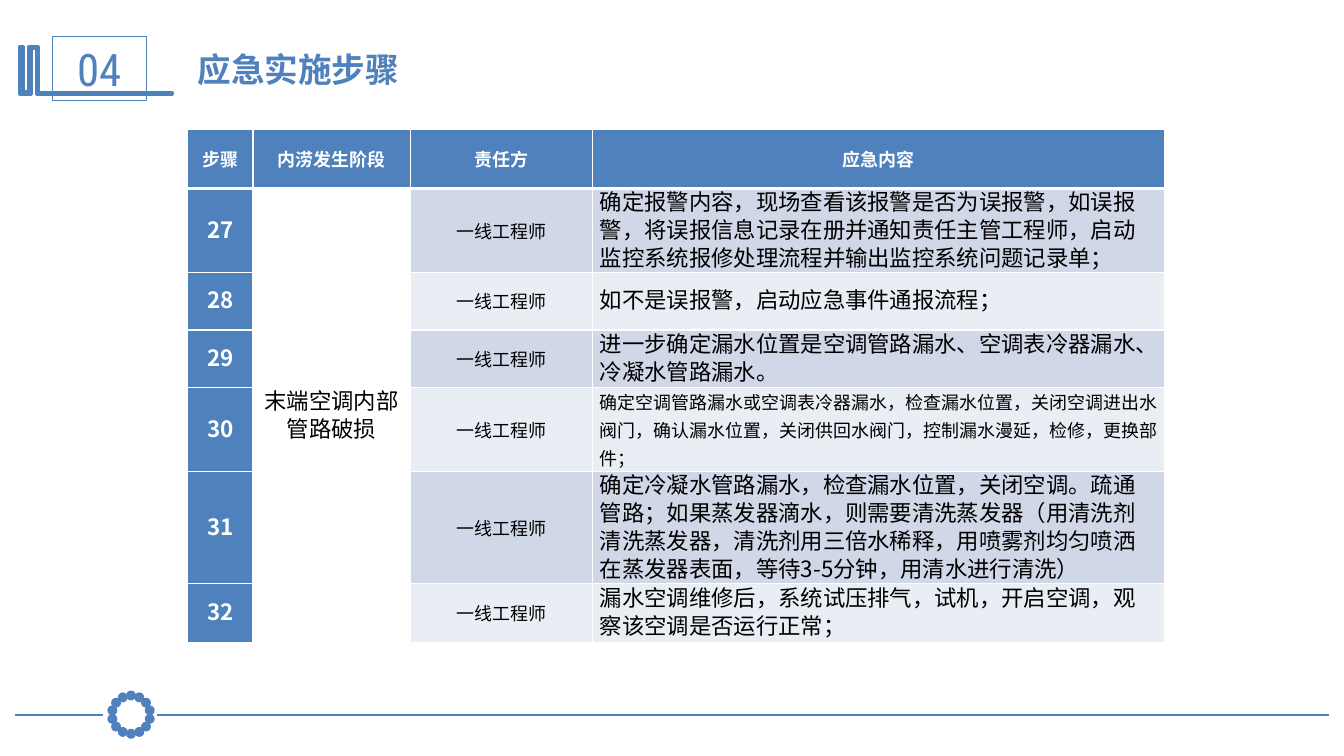
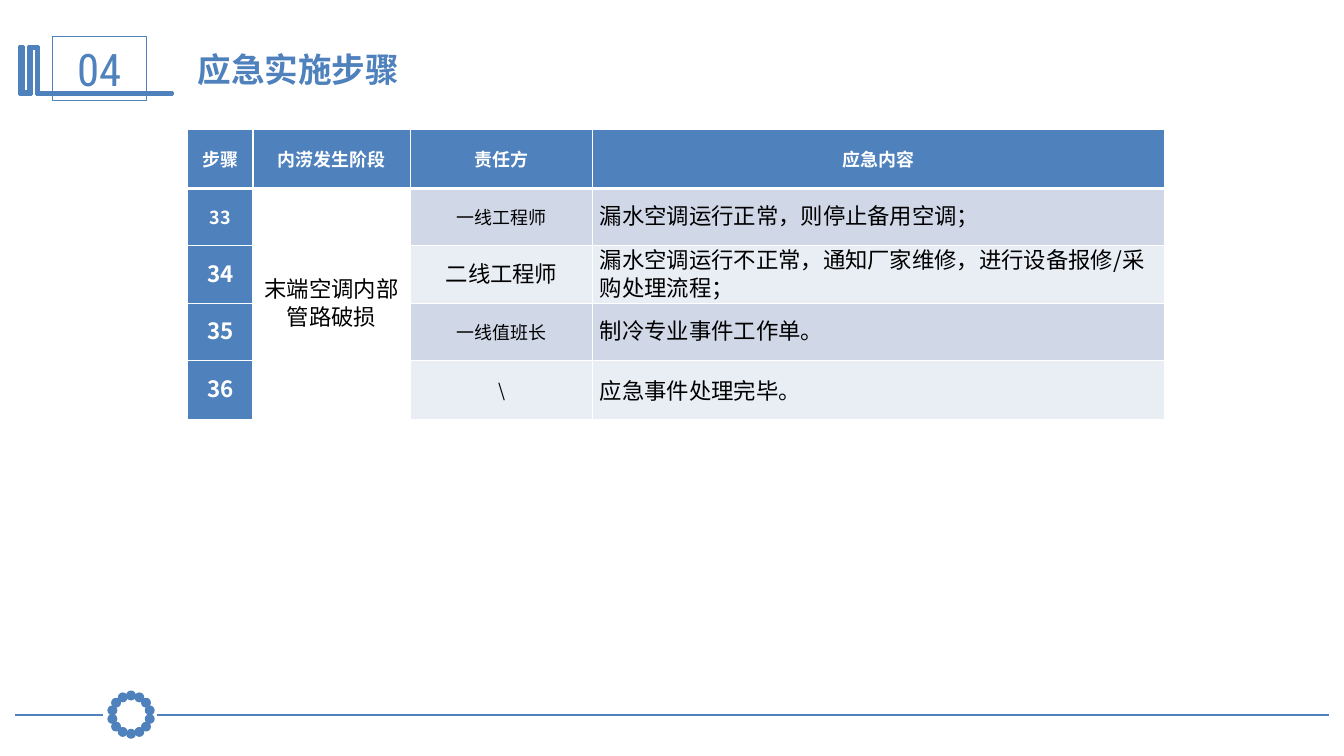
from dataclasses import dataclass
from math import cos, pi, sin

from lxml.etree import SubElement
from pptx import Presentation
from pptx.dml.color import RGBColor
from pptx.enum.shapes import MSO_CONNECTOR, MSO_SHAPE
from pptx.enum.text import MSO_ANCHOR, MSO_AUTO_SIZE, PP_ALIGN
from pptx.oxml import parse_xml
from pptx.oxml.ns import nsdecls, qn
from pptx.util import Inches, Pt


@dataclass(frozen=True)
class Theme:
    blue: str = "4F81BD"
    white: str = "FFFFFF"
    black: str = "000000"
    bands: tuple = ("D0D8E8", "E9EDF4")
    title_font: str = "Roboto"
    number_font: str = "Roboto Condensed"
    table_font: str = "Noto Sans CJK SC"
    title_size: int = 24
    number_size: int = 32
    table_size: int = 16
    line_spacing: int = 20


@dataclass(frozen=True)
class Step:
    number: str
    owner: str
    action: str
    small: tuple = ("owner",)
    spacing: bool = True


THEME = Theme()
HEADINGS = ("步骤", "内涝发生阶段", "责任方", "应急内容")
STAGE = "末端空调内部管路破损"
COLUMN_WIDTHS = (0.65, 1.56, 1.81, 5.67)
ROW_HEIGHTS = (0.59, 0.57, 0.57, 0.57, 0.58, 0.5, 0.59)
BRACKET = (
    (0.37, 0.46), (0.38, 0.46), (0.38, 0.92), (1.71, 0.92), (1.71, 0.94),
    (0.36, 0.94), (0.36, 0.48), (0.31, 0.48), (0.31, 0.94), (0.19, 0.94),
    (0.19, 0.46), (0.23, 0.46), (0.23, 0.91), (0.28, 0.91), (0.28, 0.46),
)
STEP_PAGES = (
    (
        Step("27", "一线工程师", "确定报警内容，现场查看该报警是否为误报警，如误报警，将误报信息记录在册并通知责任主管工程师，启动监控系统报修处理流程并输出监控系统问题记录单；"),
        Step("28", "一线工程师", "如不是误报警，启动应急事件通报流程；"),
        Step("29", "一线工程师", "进一步确定漏水位置是空调管路漏水、空调表冷器漏水、冷凝水管路漏水。"),
        Step("30", "一线工程师", "确定空调管路漏水或空调表冷器漏水，检查漏水位置，关闭空调进出水阀门，确认漏水位置，关闭供回水阀门，控制漏水漫延，检修，更换部件；", ("owner", "action")),
        Step("31", "一线工程师", "确定冷凝水管路漏水，检查漏水位置，关闭空调。疏通管路；如果蒸发器滴水，则需要清洗蒸发器（用清洗剂清洗蒸发器，清洗剂用三倍水稀释，用喷雾剂均匀喷洒在蒸发器表面，等待3-5分钟，用清水进行清洗）"),
        Step("32", "一线工程师", "漏水空调维修后，系统试压排气，试机，开启空调，观察该空调是否运行正常；"),
    ),
    (
        Step("33", "一线工程师", "漏水空调运行正常，则停止备用空调；", ("number", "owner")),
        Step("34", "二线工程师", "漏水空调运行不正常，通知厂家维修，进行设备报修/采购处理流程；", ()),
        Step("35", "一线值班长", "制冷专业事件工作单。"),
        Step("36", "\\", "应急事件处理完毕。", spacing=False),
    ),
)


def apply(target, formats):
    for name, value in formats.items():
        setattr(target, name, value)


def write(paragraph, text, font, size, color, bold=False, small=False):
    run = paragraph.add_run()
    run.text = text
    run.font.color.rgb = RGBColor.from_string(color)
    apply(run.font, {"name": font, "size": Pt(size), "bold": bold})
    properties = run.font._element
    SubElement(properties, qn("a:ea")).set("typeface", font)
    if small:
        properties.set("cap", "small")


def style_outline(shape, width, filled=True):
    shape.shadow.inherit = False
    if filled:
        shape.fill.solid()
        shape.fill.fore_color.rgb = RGBColor.from_string(THEME.blue)
    else:
        shape.fill.background()
    shape.line.color.rgb = RGBColor.from_string(THEME.blue)
    shape.line.width = Pt(width)


def add_footer_line(slide, left, right, top=7.09):
    rule = slide.shapes.add_connector(
        MSO_CONNECTOR.STRAIGHT, Inches(left), Inches(top), Inches(right), Inches(top))
    rule.line.color.rgb = RGBColor.from_string(THEME.blue)
    rule.line.width = Pt(1.25)
    SubElement(rule._element.spPr, qn("a:effectLst"))


def add_dot_ring(slide, center_x=1.3, center_y=7.09, radius=0.19, dot=0.07, count=14):
    ring = slide.shapes.add_group_shape()
    for index in range(count):
        angle = 2 * pi * index / count
        left = center_x + radius * sin(angle) - dot / 2
        top = center_y - radius * cos(angle) - dot / 2
        bead = ring.shapes.add_shape(
            MSO_SHAPE.OVAL, Inches(left), Inches(top), Inches(dot), Inches(dot))
        style_outline(bead, 2)


def add_bracket(slide):
    start, *corners = [(Inches(x), Inches(y)) for x, y in BRACKET]
    builder = slide.shapes.build_freeform(*start)
    builder.add_line_segments(corners, close=True)
    style_outline(builder.convert_to_shape(), 2)


def add_section_number(slide, number):
    badge = slide.shapes.add_shape(
        MSO_SHAPE.RECTANGLE, Inches(0.52), Inches(0.36), Inches(0.93), Inches(0.64))
    style_outline(badge, 0.75, filled=False)
    apply(badge.text_frame, {
        "vertical_anchor": MSO_ANCHOR.MIDDLE,
        "auto_size": MSO_AUTO_SIZE.SHAPE_TO_FIT_TEXT,
    })
    paragraph = badge.text_frame.paragraphs[0]
    paragraph.alignment = PP_ALIGN.CENTER
    write(paragraph, number, THEME.number_font, THEME.number_size, THEME.blue)


def build_layout(layout, slide):
    for placeholder in list(layout.placeholders):
        layout.shapes.element.remove(placeholder.element)
    add_footer_line(slide, 1.56, 13.18)
    add_footer_line(slide, 0.15, 1.02)
    add_dot_ring(slide)
    add_bracket(slide)
    add_section_number(slide, "04")
    for shape in list(slide.shapes):
        layout.shapes.element.append(shape.element)


def add_title(slide, title):
    box = slide.shapes.add_textbox(Inches(1.86), Inches(0.44), Inches(9.69), Inches(0.5))
    apply(box.text_frame, {
        "word_wrap": True,
        "auto_size": MSO_AUTO_SIZE.SHAPE_TO_FIT_TEXT,
    })
    write(box.text_frame.paragraphs[0], title, THEME.title_font, THEME.title_size,
          THEME.blue, bold=True)


def set_borders(cell, top=1, bottom=1):
    widths = {"lnL": 1, "lnR": 1, "lnT": top, "lnB": bottom}
    for index, (side, width) in enumerate(widths.items()):
        border = parse_xml(
            f'<a:{side} {nsdecls("a")} w="{Pt(width)}"><a:solidFill>'
            f'<a:srgbClr val="{THEME.white}"/></a:solidFill></a:{side}>')
        cell._tc.get_or_add_tcPr().insert(index, border)


def fill_cell(cell, text, fill, color=THEME.black, bold=False, small=False,
              align=PP_ALIGN.CENTER, spacing=True):
    apply(cell, {
        "margin_left": Inches(0.07), "margin_right": Inches(0.07),
        "margin_top": 0, "margin_bottom": 0,
        "vertical_anchor": MSO_ANCHOR.MIDDLE,
    })
    if fill:
        cell.fill.solid()
        cell.fill.fore_color.rgb = RGBColor.from_string(fill)
    else:
        cell.fill.background()
    paragraph = cell.text_frame.paragraphs[0]
    paragraph.alignment = align
    if spacing:
        paragraph.line_spacing = Pt(THEME.line_spacing)
    if text:
        write(paragraph, text, THEME.table_font, THEME.table_size, color, bold, small)


def add_step_table(slide, steps):
    heights = ROW_HEIGHTS[:len(steps) + 1]
    table = slide.shapes.add_table(
        len(heights), len(COLUMN_WIDTHS), Inches(1.86), Inches(1.28),
        Inches(sum(COLUMN_WIDTHS)), Inches(sum(heights))).table
    apply(table, {"first_row": False, "horz_banding": False})
    for column, width in zip(table.columns, COLUMN_WIDTHS):
        column.width = Inches(width)
    for row, height in zip(table.rows, heights):
        row.height = Inches(height)

    accent = {"fill": THEME.blue, "color": THEME.white, "bold": True}
    for column, heading in enumerate(HEADINGS):
        fill_cell(table.cell(0, column), heading, small=True, **accent)
    for row, step in enumerate(steps, start=1):
        band = THEME.bands[(row - 1) % 2]
        fill_cell(table.cell(row, 0), step.number, small="number" in step.small, **accent)
        fill_cell(table.cell(row, 1), STAGE if row == 1 else "", None)
        fill_cell(table.cell(row, 2), step.owner, band, small="owner" in step.small)
        fill_cell(table.cell(row, 3), step.action, band, small="action" in step.small,
                  align=PP_ALIGN.LEFT, spacing=step.spacing)
    for row in range(len(heights)):
        for column in range(len(COLUMN_WIDTHS)):
            set_borders(table.cell(row, column), top=3 if row == 1 else 1,
                        bottom=3 if row == 0 else 1)
    table.cell(1, 1).merge(table.cell(len(steps), 1))


def main():
    presentation = Presentation()
    apply(presentation, {"slide_width": Inches(13.33), "slide_height": Inches(7.5)})
    blank = presentation.slide_layouts[6]
    slides = [presentation.slides.add_slide(blank) for _ in STEP_PAGES]
    build_layout(blank, slides[0])
    for slide, steps in zip(slides, STEP_PAGES):
        add_step_table(slide, steps)
        add_title(slide, "应急实施步骤")
    presentation.save("out.pptx")


if __name__ == "__main__":
    main()
